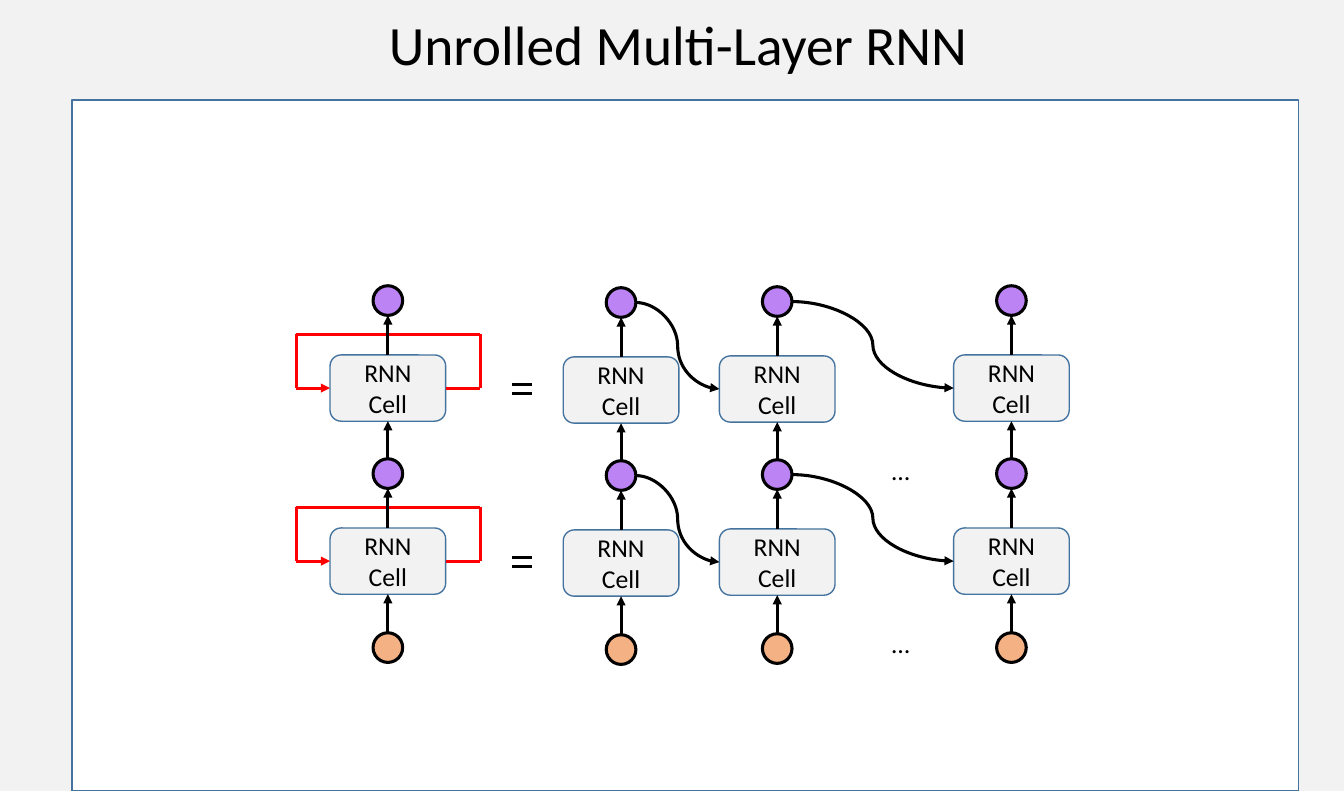
"""Build the slide that unrolls a two-layer RNN over time."""
from lxml import etree
from pptx import Presentation
from pptx import util as u
from pptx.dml.color import RGBColor
from pptx.enum import shapes as sh, text as tx
from pptx.oxml.ns import qn

TITLE = "Unrolled Multi-Layer RNN"
CELL, DOTS = "RNN Cell", "…"
COLS = [(3.34, 0), (5.70, 0.02), (7.28, 0.01), (9.65, 0)]
ROWS = [5.34, 3.59]
STEPS = [(1, 2), (2, 3)]
WIDE, HIGH, DOT = 1.17, 0.67, 0.3
RISE, DROP = 0.7, 1.06
THEME = {
    "font": "Calibri", "title": 40.4, "body": 18.7, "thin": 1, "bold": 2.25,
    "back": "F2F2F2", "panel": "FFFFFF", "edge": "43739E", "ink": "000000",
    "loop": "FF0000", "input": "F4B183", "state": "BC83F5",
}
KIND, LINK = sh.MSO_SHAPE, sh.MSO_CONNECTOR


def color(name):
    return RGBColor.from_string(THEME[name])


def style(para, size):
    para.alignment = tx.PP_ALIGN.CENTER
    para.font.name = THEME["font"]
    para.font.size = u.Pt(THEME[size])
    para.font.color.rgb = color("ink")


def draw(kind, box, fill, edge, width):
    shape = slide.shapes.add_shape(kind, *map(u.Inches, box))
    shape.shadow.inherit = False
    shape.fill.solid()
    shape.fill.fore_color.rgb = color(fill)
    shape.line.color.rgb = color(edge)
    shape.line.width = u.Pt(THEME[width])
    return shape


def circle(mid, top, fill):
    return draw(KIND.OVAL, (mid - DOT / 2, top, DOT, DOT), fill, "ink", "bold")


def cell(left, top):
    shape = draw(KIND.ROUNDED_RECTANGLE, (left, top, WIDE, HIGH), "back", "edge", "thin")
    frame = shape.text_frame
    frame.word_wrap = True
    frame.vertical_anchor = tx.MSO_ANCHOR.MIDDLE
    frame.margin_left = frame.margin_right = u.Inches(0.15)
    frame.text = CELL
    style(frame.paragraphs[0], "body")
    return shape


def link(start, end, ink="ink", head=False, kind=LINK.STRAIGHT, tie=None, join=None):
    line = slide.shapes.add_connector(kind, *map(u.Inches, (*start, *end)))
    line.line.color.rgb = color(ink)
    line.line.width = u.Pt(THEME["bold"])
    if head:
        etree.SubElement(line.line._get_or_add_ln(), qn("a:tailEnd"), type="triangle")
    etree.SubElement(line._element.spPr, qn("a:effectLst"))
    if tie:
        line.begin_connect(*tie)
    if join:
        line.end_connect(*join)


def loop(box, left, top):
    mid, peak = top + HIGH / 2, top - 0.21
    near, far = left - 0.34, left + WIDE + 0.35
    link((near, mid), (left, mid), "loop", True, join=(box, 1))
    link((left + WIDE, mid), (far, mid), "loop", tie=(box, 3))
    for start, end in [((far, peak), (far, mid)), ((near, peak), (far, peak)),
                       ((near, peak), (near, mid))]:
        link(start, end, "loop")


def dots(top):
    box = slide.shapes.add_textbox(*map(u.Inches, (8.9, top, 0.43, 0.41)))
    box.text_frame.word_wrap = True
    box.text_frame.text = DOTS
    style(box.text_frame.paragraphs[0], "body")


deck = Presentation()
deck.slide_width, deck.slide_height = u.Inches(13.6), u.Inches(8)
slide = deck.slides.add_slide(deck.slide_layouts[5])
slide.background.fill.solid()
slide.background.fill.fore_color.rgb = color("back")

title = slide.shapes.title
title.left, title.top, title.width, title.height = map(u.Inches, (1, 0.11, 11.73, 0.74))
title.text_frame.text = TITLE
title.text_frame.auto_size = tx.MSO_AUTO_SIZE.NONE
title.text_frame.vertical_anchor = tx.MSO_ANCHOR.MIDDLE
title.text_frame.paragraphs[0].line_spacing = 0.9
style(title.text_frame.paragraphs[0], "title")

draw(KIND.RECTANGLE, (0.73, 1.01, 12.41, 6.99), "panel", "edge", "thin")

below = [circle(left + WIDE / 2, ROWS[0] + shift + DROP, "input") for left, shift in COLS]
for row in ROWS:
    cells, states = [], []
    for (left, shift), source in zip(COLS, below):
        top, mid = row + shift, left + WIDE / 2
        box = cell(left, top)
        if not cells:
            loop(box, left, top)
        state = circle(mid, top - RISE, "state")
        link((mid, top + DROP), (mid, top + HIGH), head=True, tie=(source, 0), join=(box, 2))
        link((mid, top), (mid, top - RISE + DOT), head=True, tie=(box, 0))
        cells.append(box)
        states.append(state)
    for a, b in STEPS:
        (left, shift), (goal, fall) = COLS[a], COLS[b]
        link((left + (WIDE + DOT) / 2, row + shift - RISE + DOT / 2),
             (goal, row + fall + HIGH / 2), head=True, kind=LINK.CURVE, join=(cells[b], 1))
    for gap in (0.3, 0.39):
        link((5.18, row + gap), (5.38, row + gap))
    dots(row + 0.96)
    below = states

deck.save("out.pptx")
